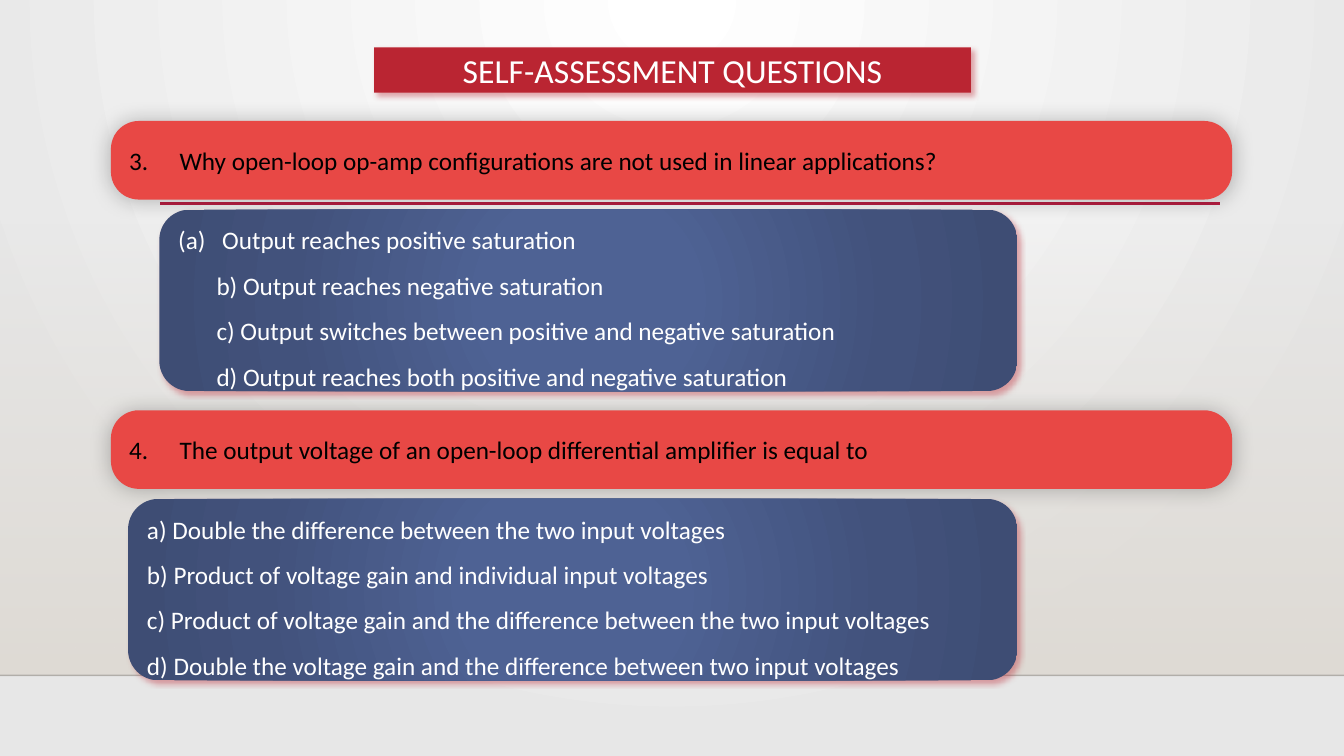
from pptx import Presentation
from pptx.dml.color import RGBColor
from pptx.enum.shapes import MSO_CONNECTOR as Link, MSO_SHAPE as Kind
from pptx.enum.text import MSO_ANCHOR as Anchor, MSO_AUTO_SIZE as Auto, PP_ALIGN as Align
from pptx.oxml import parse_xml
from pptx.oxml.ns import nsdecls, qn
from pptx.util import Inches, Pt

WHITE = RGBColor(0xFF, 0xFF, 0xFF)
BLACK = RGBColor(0, 0, 0)
INK = RGBColor(0, 0, 1)
MIST = RGBColor(0xE7, 0xE7, 0xE7)
SAND = RGBColor(0xDF, 0xDB, 0xD5)
WINE = RGBColor(0xB7, 0x1E, 0x42)
RED = RGBColor(0xBA, 0x25, 0x32)
CORAL = RGBColor(0xE8, 0x48, 0x45)
BLUE = RGBColor(0x4E, 0x62, 0x94)
SLATE = RGBColor(0x42, 0x52, 0x7C)
NAVY = RGBColor(0x3E, 0x4D, 0x74)

FONT = "Calibri"
WIDE, HIGH = 13.33, 7.5
FLOOR = 6.7
GLOW = [(0, BLUE, 100), (23, BLUE, 100), (69, SLATE, 100), (97, NAVY, 100)]
CENTRE = '<a:path path="circle"><a:fillToRect l="50000" t="50000" r="50000" b="50000"/></a:path>'
TOP = '<a:path path="circle"><a:fillToRect l="43000" r="43000" b="100000"/></a:path>'
DOWN = '<a:lin ang="5400000" scaled="0"/>'

QUIZ = [
    (1.2, "3.", "Why open-loop op-amp configurations are not used in linear applications?",
     1.58, True, [
         " Output reaches positive saturation",
         "b) Output reaches negative saturation",
         "c) Output switches between positive and negative saturation",
         "d) Output reaches both positive and negative saturation"]),
    (4.07, "4.", "The output voltage of an open-loop differential amplifier is equal to",
     1.27, False, [
         "a) Double the difference between the two input voltages",
         "b) Product of voltage gain and individual input voltages",
         "c) Product of voltage gain and the difference between the two input voltages",
         "d) Double the voltage gain and the difference between two input voltages"]),
]


def blend(fill, node, stops, mode):
    """Fill the node with a gradient of (percent, colour, opacity) stops."""
    fill.solid()
    marks = "".join(
        f'<a:gs pos="{pos * 1000}"><a:srgbClr val="{tone}">'
        f'<a:alpha val="{alpha * 1000}"/></a:srgbClr></a:gs>'
        for pos, tone, alpha in stops)
    node.replace(node.find(qn("a:solidFill")), parse_xml(
        f'<a:gradFill {nsdecls("a")} rotWithShape="1"><a:gsLst>{marks}</a:gsLst>{mode}</a:gradFill>'))


def shade(shape, tone, alpha, blur, dist, angle):
    """Give the shape an outer shadow."""
    shape.shadow.inherit = False
    shape._element.spPr.find(qn("a:effectLst")).append(parse_xml(
        f'<a:outerShdw {nsdecls("a")} blurRad="{Pt(blur)}" dist="{Pt(dist)}" '
        f'dir="{angle * 60000}" algn="ctr" rotWithShape="0"><a:srgbClr val="{tone}">'
        f'<a:alpha val="{alpha * 1000}"/></a:srgbClr></a:outerShdw>'))


def frame(slide, holder, box, bend=0.167):
    """Bring a placeholder to the front as a rounded box and return its paragraph."""
    slide.shapes._spTree.append(holder._element)
    holder.left, holder.top, holder.width, holder.height = map(Inches, box)
    holder._element.spPr.append(parse_xml(
        f'<a:prstGeom {nsdecls("a")} prst="roundRect"><a:avLst>'
        f'<a:gd name="adj" fmla="val {round(bend * 100000)}"/></a:avLst></a:prstGeom>'))
    text = holder.text_frame
    text.word_wrap = True
    text.auto_size = Auto.NONE
    text.vertical_anchor = Anchor.MIDDLE
    para = text.paragraphs[0]
    para.space_before = Pt(0)
    return para


def write(para, words, size, tone):
    """Add one run to the paragraph."""
    run = para.add_run()
    run.text = words
    font = run.font
    font.name, font.size, font.bold = FONT, Pt(size), False
    font.color.rgb = tone


def indent(para, left, bullet):
    """Set a hanging indent and the bullet of the paragraph."""
    props = para._p.get_or_add_pPr()
    props.set("marL", str(Inches(left)))
    props.set("indent", str(-Inches(left)))
    props.append(parse_xml(bullet))


def rule(slide, left, right, top, tone, width):
    """Draw a level line and return it."""
    line = slide.shapes.add_connector(
        Link.STRAIGHT, Inches(left), Inches(top), Inches(right), Inches(top))
    line.line.color.rgb = tone
    line.line.width = Pt(width)
    line._element.spPr.append(parse_xml(f'<a:effectLst {nsdecls("a")}/>'))
    return line


def stage(slide):
    """Paint the backdrop, its wall, its floor line and the red rule."""
    fill = slide.background.fill
    fill.solid()
    blend(fill, next(slide._element.iter(qn("p:bgPr"))),
          [(0, WHITE, 100), (100, MIST, 100)], TOP)
    wall = slide.shapes.add_shape(
        Kind.RECTANGLE, 0, Inches(2.21), Inches(WIDE), Inches(FLOOR - 2.21))
    wall.shadow.inherit = False
    wall.line.fill.background()
    blend(wall.fill, wall._element.spPr, [(0, SAND, 0), (100, SAND, 100)], DOWN)
    edge = rule(slide, 0, WIDE, FLOOR, INK, 1)
    next(edge._element.iter(qn("a:srgbClr"))).append(
        parse_xml(f'<a:alpha {nsdecls("a")} val="20000"/>'))
    rule(slide, 1.59, 12.1, 2.02, WINE, 2.5)


def banner(slide, box):
    """Place the slide title."""
    title = slide.shapes.title
    para = frame(slide, title, box)
    para.alignment = Align.CENTER
    title.fill.solid()
    title.fill.fore_color.rgb = RED
    shade(title, RED, 40, 4, 3, 45)
    write(para, "SELF-ASSESSMENT QUESTIONS", 24, WHITE)


def question(slide, holder, box, mark, words):
    """Place a numbered question."""
    para = frame(slide, holder, box, 0.356)
    indent(para, 0.5, f'<a:buNone {nsdecls("a")}/>')
    holder.fill.solid()
    holder.fill.fore_color.rgb = CORAL
    shade(holder, BLACK, 25, 15, 0, 0)
    write(para, f"{mark}\t{words}", 18, BLACK)


def answers(slide, holder, box, lines, auto):
    """Place the answers to a question, the first numbered if auto is set."""
    para = frame(slide, holder, box)
    para.line_spacing = 1.5
    if auto:
        indent(para, 0.38, f'<a:buAutoNum {nsdecls("a")} type="alphaLcParenBoth"/>')
    else:
        indent(para, 0, f'<a:buNone {nsdecls("a")}/>')
    blend(holder.fill, holder._element.spPr, GLOW, CENTRE)
    shade(holder, RED, 40, 4, 3, 45)
    for row, words in enumerate(lines):
        if row:
            para.add_line_break()
        write(para, words, 18, WHITE)


def main():
    """Build and save the slide."""
    deck = Presentation()
    deck.slide_width, deck.slide_height = Inches(WIDE), Inches(HIGH)
    slide = deck.slides.add_slide(deck.slide_layouts.get_by_name("Comparison"))
    stage(slide)
    banner(slide, (3.71, 0.47, 5.92, 0.45))
    parts = list(slide.placeholders)[1:]
    for (top, mark, words, left, auto, lines), ask, reply in zip(QUIZ, parts[::2], parts[1::2]):
        question(slide, ask, (1.1, top, 11.12, 0.78), mark, words)
        answers(slide, reply, (left, top + 0.88, 10.09 - left, 1.8), lines, auto)
    deck.save("out.pptx")


if __name__ == "__main__":
    main()
